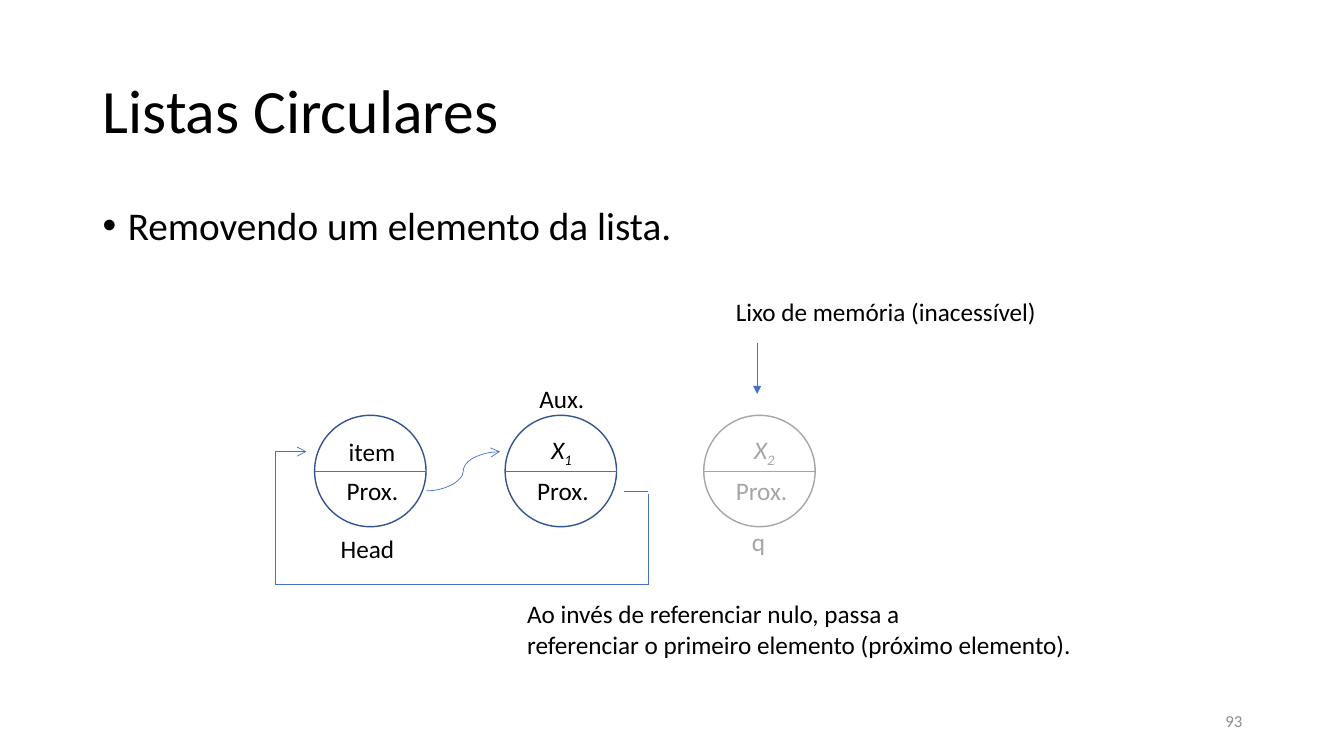
from lxml.etree import SubElement
from pptx import Presentation
from pptx.dml.color import RGBColor as RGB
from pptx.enum.shapes import MSO_CONNECTOR as LINK, MSO_SHAPE as SHAPE
from pptx.enum.text import MSO_ANCHOR as ANCHOR, PP_ALIGN as ALIGN
from pptx.oxml.ns import qn
from pptx.util import Inches, Pt

COLORS = {"text": "000000", "ring": "325491", "line": "4472C4",
          "lost": "A6A6A6", "number": "8C8C8C"}

prs = Presentation()
prs.slide_width, prs.slide_height = Inches(13.33), Inches(7.5)
s = prs.slides.add_slide(prs.slide_layouts[6])
cell = prs.slide_height / 45


def text(words, col, row, cols, rows=2.4, size=18, color="text", sub="",
         italic=False, align=ALIGN.LEFT, anchor=ANCHOR.TOP, wrap=False,
         spacing=1.0, bullet=False):
    box = s.shapes.add_textbox(*(round(n * cell) for n in (col, row, cols, rows)))
    tf = box.text_frame
    tf.word_wrap, tf.vertical_anchor = wrap, anchor
    for i, line in enumerate(words.split("\n")):
        p = tf.paragraphs[0] if i == 0 else tf.add_paragraph()
        p.alignment, p.line_spacing = align, spacing
        if bullet:
            pPr = p._p.get_or_add_pPr()
            pPr.set("marL", str(Inches(0.25)))
            pPr.set("indent", str(-Inches(0.25)))
            SubElement(pPr, qn("a:buFont")).set("typeface", "Arial")
            SubElement(pPr, qn("a:buChar")).set("char", "•")
        for part in filter(None, (line, sub)):
            r = p.add_run()
            r.text = part
            r.font.name, r.font.size = "Calibri", Pt(size)
            r.font.italic = italic
            r.font.color.rgb = RGB.from_string(COLORS[color])
            if part == sub:
                r.font._element.set("baseline", "-25000")


def link(x1, y1, x2, y2, color="line", kind=LINK.STRAIGHT, head=None):
    c = s.shapes.add_connector(kind, *(round(n * cell) for n in (x1, y1, x2, y2)))
    c.line.width = Pt(0.5)
    c.line.color.rgb = RGB.from_string(COLORS[color])
    if head:
        SubElement(c.line._get_or_add_ln(), qn("a:tailEnd")).set("type", head)
    SubElement(c._element.spPr, qn("a:effectLst"))


text("Listas Circulares", 5.52, 2.4, 69, 8.7, size=44, anchor=ANCHOR.MIDDLE,
     wrap=True, spacing=0.9)
text("Removendo um elemento da lista.", 5.52, 12, 69, 28.56, size=28,
     wrap=True, spacing=0.9, bullet=True)

size, top = 6.63, 24.72
middle = top + size / 2
item_row, next_row = 26.88, 29.22
nodes = [(18.72, "ring", "line", "text"),
         (30.06, "ring", "line", "text"),
         (41.88, "lost", "lost", "lost")]
for left, ring, divider, ink in nodes:
    sp = s.shapes.add_shape(SHAPE.OVAL, *(round(n * cell) for n in (left, top, size, size)))
    sp.shadow.inherit = False
    sp.fill.background()
    sp.line.width = Pt(1)
    sp.line.color.rgb = RGB.from_string(COLORS[ring])
    link(left, middle, left + size, middle, color=divider)
    text("Prox.", left + 1.32, 28.02, 4.32, color=ink)

text("item", 20.16, 25.68, 4.02)
text("X", 32.22, 25.56, 2.52, sub="1", italic=True)
text("X", 44.28, 25.56, 2.52, sub="2", italic=True, color="lost")
text("Head", 19.68, 31.44, 4.44)
text("Aux.", 31.5, 22.5, 3.9)
text("q", 44.16, 31.02, 2.04, color="lost")

loop_left, loop_right, loop_bottom = 16.38, 38.58, 34.8
link(25.38, next_row, 29.76, item_row, kind=LINK.CURVE, head="arrow")
link(loop_right, next_row, 37.14, next_row)
link(loop_right, loop_bottom, loop_right, 29.4)
link(loop_right, loop_bottom, loop_left, loop_bottom)
link(loop_left, loop_bottom, loop_left, item_row)
link(loop_left, item_row, 18.24, item_row, head="arrow")

text("Lixo de memória (inacessível)", 43.2, 17.34, 19.26)
link(45.06, 20.4, 45.06, 23.46, head="triangle")
text("Ao invés de referenciar nulo, passa a\n"
     "referenciar o primeiro elemento (próximo elemento).", 30.78, 35.34, 33.96, 4.26)
text("93", 56.52, 41.7, 18, size=12, color="number", align=ALIGN.RIGHT,
     anchor=ANCHOR.MIDDLE, wrap=True)

prs.save("out.pptx")
